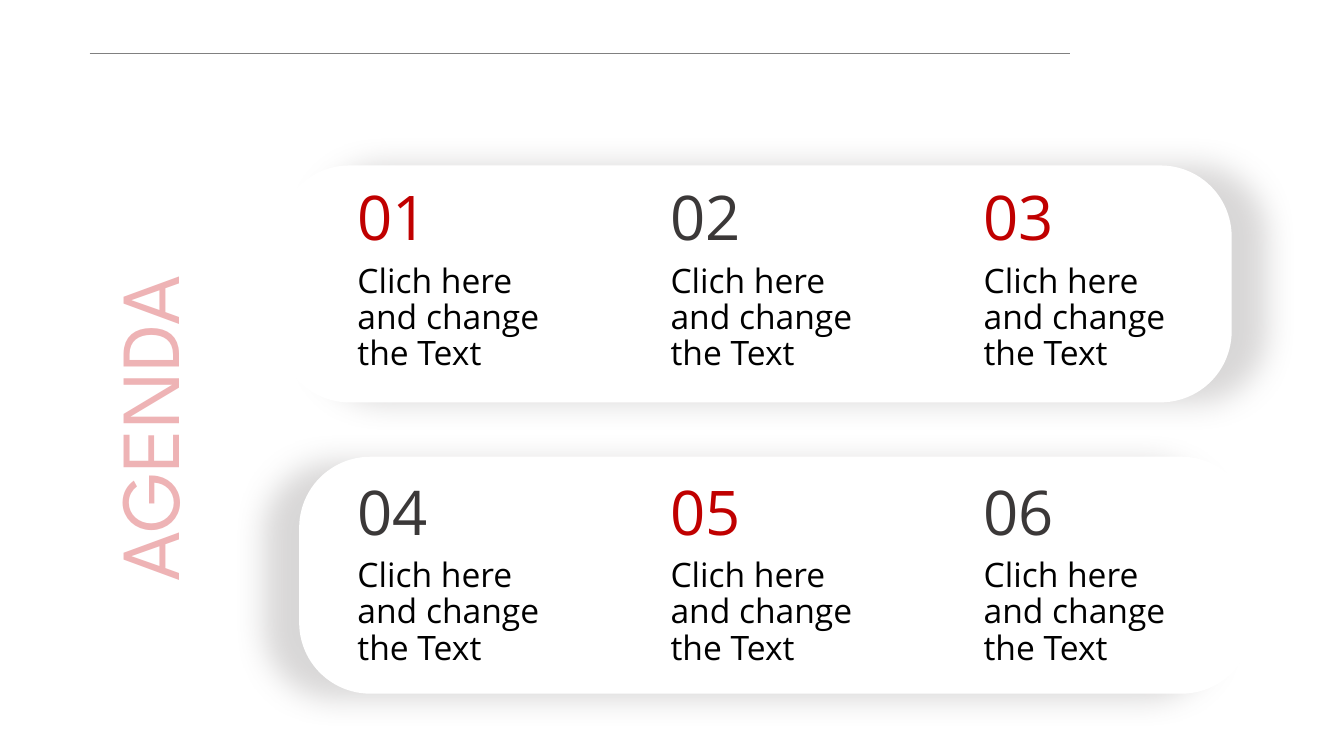
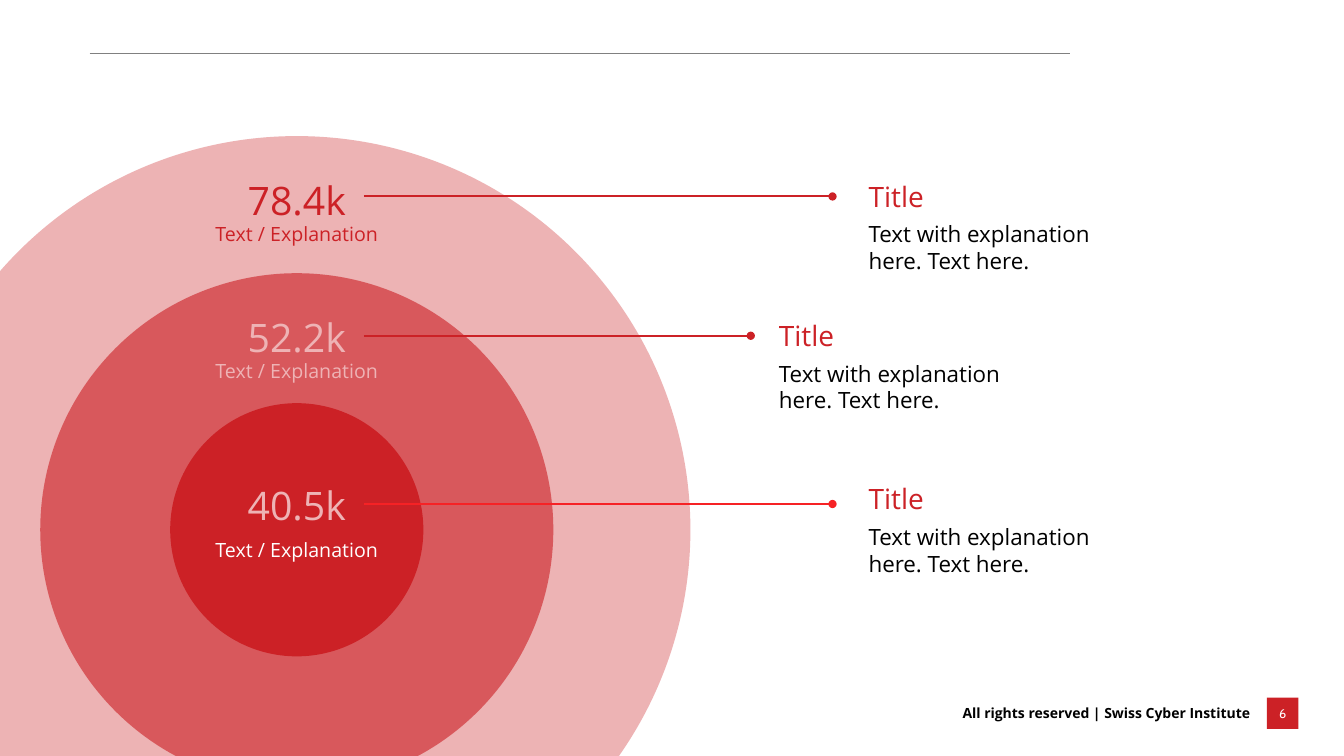
from dataclasses import dataclass
from typing import Any

import pptx
import pptx.dml.color
import pptx.enum.shapes
import pptx.enum.text
import pptx.oxml.ns
import pptx.util
from lxml import etree

Cm = pptx.util.Cm
Pt = pptx.util.Pt
qn = pptx.oxml.ns.qn
Rgb = pptx.dml.color.RGBColor.from_string
Kind = pptx.enum.shapes.MSO_SHAPE
Align = pptx.enum.text.PP_ALIGN
Anchor = pptx.enum.text.MSO_ANCHOR
Fit = pptx.enum.text.MSO_AUTO_SIZE


@dataclass(frozen=True)
class Theme:
    red: str = "CC2126"
    bright: str = "F62225"
    deep: str = "C00000"
    pink: str = "EEB3B5"
    dark: str = "3B3838"
    gray: str = "808080"
    shade: str = "767171"
    black: str = "000000"
    white: str = "FFFFFF"
    font: str = "Open Sans"
    head: str = "League Spartan"
    page: str = "Cabin"
    title: int = 60
    number: int = 44
    value: int = 28
    body: int = 24
    topic: int = 20
    note: int = 16
    label: int = 14
    footer: int = 10
    folio: int = 9


@dataclass(frozen=True)
class Box:
    left: float
    top: float
    width: float
    height: float

    def place(self) -> tuple:
        return Cm(self.left), Cm(self.top), Cm(self.width), Cm(self.height)


@dataclass(frozen=True)
class Panel:
    left: float
    top: float
    angle: int


@dataclass(frozen=True)
class Ring:
    size: float
    alpha: int


@dataclass(frozen=True)
class Level:
    value: str
    top: float
    gap: float
    hue: str
    tint: str
    rule: float
    end: float
    ink: str
    left: float
    note: float


THEME = Theme()
PANELS = (Panel(7.54, 11.51, 171), Panel(7.01, 4.17, 0))
RINGS = (Ring(19.84, 34), Ring(12.93, 62), Ring(6.38, 100))
MID_X, MID_Y = 7.48, 13.35
LEVELS = (
    Level("40.5k", 12.01, 1.42, THEME.pink, THEME.white,
          12.7, 20.98, THEME.bright, 21.64, 12.01),
    Level("52.2k", 7.77, 1.14, THEME.pink, THEME.pink,
          8.46, 18.92, THEME.red, 19.38, 7.9),
    Level("78.4k", 4.32, 1.14, THEME.red, THEME.red,
          4.95, 20.98, THEME.red, 21.64, 4.39),
)


def assign(target: Any, values: dict) -> None:
    for name, value in values.items():
        setattr(target, name, value)


def write(shape: Any, text: str, size: int, hue: str, font: str = THEME.font,
          align: Any = Align.LEFT, anchor: Any = Anchor.TOP,
          space: float = 1.0, bold: bool = False) -> None:
    frame = shape.text_frame
    frame.text = text
    assign(frame, {"word_wrap": True, "auto_size": Fit.NONE,
                   "vertical_anchor": anchor})
    para = frame.paragraphs[0]
    assign(para, {"alignment": align, "line_spacing": space})
    assign(para.font, {"name": font, "size": Pt(size), "bold": bold})
    para.font.color.rgb = Rgb(hue)


def label(slide: Any, box: Box, text: str, size: int, hue: str,
          **style: Any) -> None:
    write(slide.shapes.add_textbox(*box.place()), text, size, hue, **style)


def fade(color: Any, alpha: int) -> None:
    """Give a colour element its opacity in percent."""
    etree.SubElement(color, qn("a:alpha"), val=str(alpha * 1000))


def solid(shapes: Any, kind: Any, box: Box, hue: str, alpha: int = 100) -> Any:
    shape = shapes.add_shape(kind, *box.place())
    shape.shadow.inherit = False
    shape.fill.solid()
    shape.fill.fore_color.rgb = Rgb(hue)
    shape.line.fill.background()
    if alpha < 100:
        path = f"{qn('a:solidFill')}/{qn('a:srgbClr')}"
        fade(shape.element.spPr.find(path), alpha)
    return shape


def cast(shape: Any, angle: int) -> None:
    """Add a soft outer shadow in the given direction."""
    effects = shape.element.spPr.find(qn("a:effectLst"))
    outer = etree.SubElement(
        effects, qn("a:outerShdw"), blurRad=str(Pt(22)), dist=str(Pt(25)),
        dir=str(angle * 60000), algn="ctr", rotWithShape="0")
    fade(etree.SubElement(outer, qn("a:srgbClr"), val=THEME.shade), 27)


def rule(slide: Any, start: float, end: float, top: float, hue: str,
         width: float, dot: bool = False) -> None:
    line = slide.shapes.add_connector(
        pptx.enum.shapes.MSO_CONNECTOR.STRAIGHT,
        Cm(start), Cm(top), Cm(end), Cm(top))
    line.line.color.rgb = Rgb(hue)
    line.line.width = Pt(width)
    props = line.element.spPr
    if dot:
        etree.SubElement(props.find(qn("a:ln")), qn("a:tailEnd"), type="oval")
    etree.SubElement(props, qn("a:effectLst"))


def start(deck: Any, layout: int) -> Any:
    """Add a slide with the shared top rule."""
    slide = deck.slides.add_slide(deck.slide_layouts[layout])
    rule(slide, 2.26, 26.97, 1.35, THEME.gray, 0.5)
    return slide


def footer(slide: Any, page: str) -> None:
    label(slide, Box(23.8, 17.45, 7.95, 1.02),
          "All rights reserved | Swiss Cyber Institute", THEME.footer,
          THEME.black, align=Align.RIGHT, anchor=Anchor.MIDDLE, bold=True)
    badge = solid(slide.shapes, Kind.RECTANGLE, Box(31.93, 17.58, 0.79, 0.79),
                  THEME.red)
    write(badge, page, THEME.folio, THEME.white, font=THEME.page,
          align=Align.CENTER, anchor=Anchor.MIDDLE)
    assign(badge.text_frame, {"margin_left": 0, "margin_right": 0})


def agenda(deck: Any) -> None:
    slide = start(deck, 5)
    for panel in PANELS:
        shape = solid(slide.shapes, Kind.ROUNDED_RECTANGLE,
                      Box(panel.left, panel.top, 24.03, 5.97), THEME.white)
        shape.adjustments[0] = 0.3
        cast(shape, panel.angle)
    title = slide.shapes.title
    names = ("left", "top", "width", "height")
    box = Box(-2.82, 9.53, 13.31, 2.54)
    assign(title, dict(zip(names, box.place()), rotation=270))
    write(title, "AGENDA", THEME.title, THEME.pink, font=THEME.head,
          align=Align.CENTER, space=0.9)
    for item in range(6):
        row, col = divmod(item, 3)
        left, top = 8.76 + 7.89 * col, 4.6 + 7.42 * row
        hue = THEME.dark if item % 2 else THEME.deep
        label(slide, Box(left, top, 2.95, 1.96), f"{item + 1:02}",
              THEME.number, hue, space=0.9)
        label(slide, Box(left, top + 1.93, 5.94, 3.99),
              "Clich here and change the Text", THEME.body, THEME.black,
              space=0.9)


def rings(deck: Any) -> None:
    slide = start(deck, 6)
    group = slide.shapes.add_group_shape()
    for ring in RINGS:
        half = ring.size / 2
        solid(group.shapes, Kind.OVAL,
              Box(MID_X - half, MID_Y - half, ring.size, ring.size),
              THEME.red, ring.alpha)
    for level in LEVELS:
        label(slide, Box(MID_X - 3.02, level.top, 6.04, 1.45), level.value,
              THEME.value, level.hue, align=Align.CENTER)
        label(slide, Box(MID_X - 2.39, level.top + level.gap, 4.78, 0.86),
              "Text / Explanation", THEME.label, level.tint,
              align=Align.CENTER)
        rule(slide, 9.17, level.end, level.rule, level.ink, 1.5, dot=True)
        label(slide, Box(level.left, level.note, 6.05, 1.12), "Title",
              THEME.topic, THEME.red)
        label(slide, Box(level.left, level.note + 1.04, 6.55, 1.63),
              "Text with explanation here. Text here.", THEME.note,
              THEME.black)
    footer(slide, "6")


def main() -> None:
    deck = pptx.Presentation()
    assign(deck, {"slide_width": Cm(33.87), "slide_height": Cm(19.05)})
    agenda(deck)
    rings(deck)
    deck.save("out.pptx")


if __name__ == "__main__":
    main()
